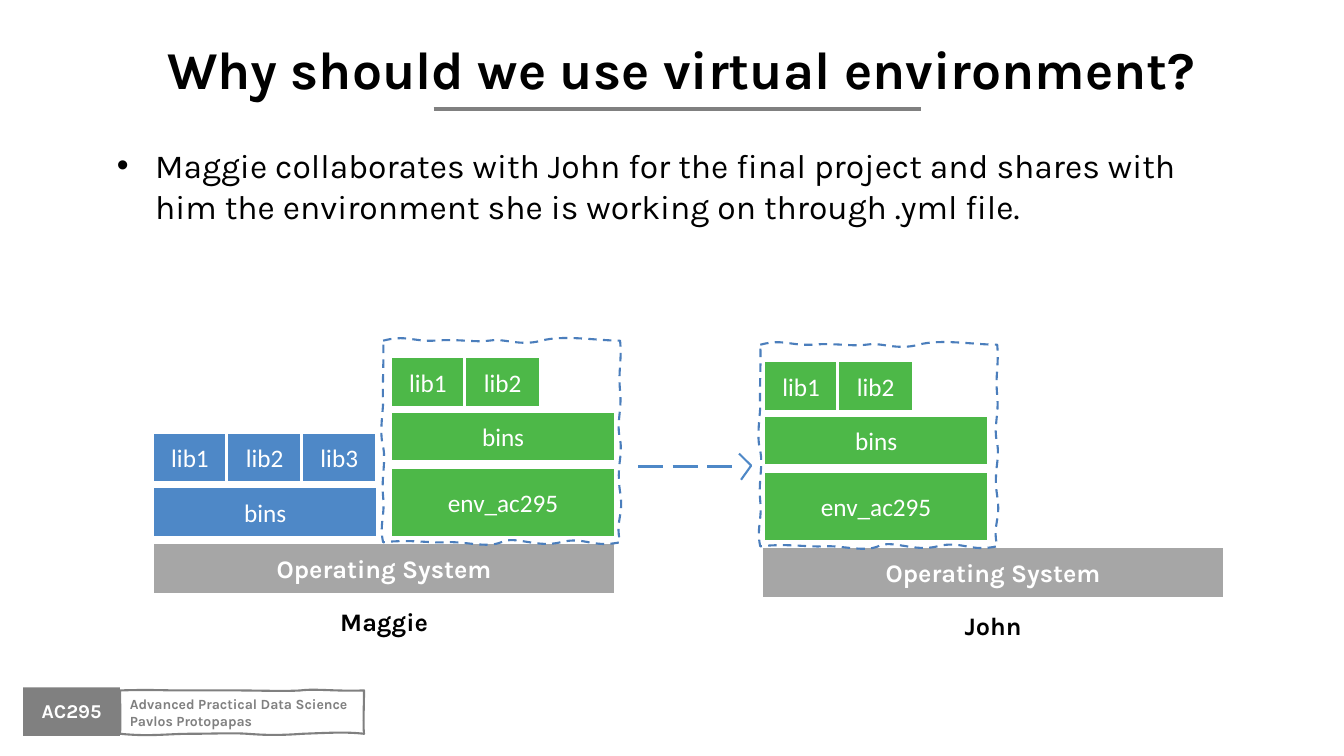
from lxml import etree
from pptx import Presentation
from pptx import util as u
from pptx.dml.color import RGBColor
from pptx.enum import dml, shapes, text
from pptx.oxml.ns import qn

COLORS = {
    "black": "000000", "white": "FFFFFF", "gray": "808080", "system": "A6A6A6",
    "base": "4E88C7", "env": "4DB848", "frame": "4B7EBC",
}
LIB_PITCH = 0.74

# Hand-drawn outlines: cubic curves that start at the top left, relative to it.
ENV_OUTLINE = [
    (0.23, -0.06, 0.29, 0.01, 0.51, 0), (0.74, -0.02, 0.91, 0.02, 1.05, 0),
    (1.19, -0.03, 1.35, 0.06, 1.57, 0), (1.79, -0.06, 2.12, 0, 2.35, 0),
    (2.37, 0.2, 2.33, 0.29, 2.35, 0.5), (2.37, 0.71, 2.31, 0.8, 2.35, 0.98),
    (2.38, 1.15, 2.31, 1.24, 2.35, 1.5), (2.39, 1.75, 2.3, 1.77, 2.35, 2),
    (2.07, 2.06, 2, 1.94, 1.76, 2), (1.52, 2.06, 1.31, 1.93, 1.17, 2),
    (1.03, 2.06, 0.81, 1.99, 0.63, 2), (0.46, 2.01, 0.28, 1.97, 0, 2),
    (-0.04, 1.82, 0.02, 1.75, 0, 1.55), (-0.02, 1.36, 0.03, 1.2, 0, 1.05),
    (-0.04, 0.91, 0, 0.71, 0, 0.6), (-0.01, 0.48, 0.01, 0.16, 0, 0),
]
COURSE_OUTLINE = [
    (0.28, -0.01, 0.46, 0, 0.58, 0), (0.7, 0, 1.02, 0, 1.18, 0),
    (1.35, 0, 1.64, 0.01, 1.79, 0), (1.94, -0.02, 2.12, 0.01, 2.42, 0),
    (2.42, 0.16, 2.41, 0.34, 2.42, 0.43),
    (2.24, 0.41, 2.09, 0.42, 1.81, 0.43), (1.54, 0.45, 1.4, 0.44, 1.26, 0.43),
    (1.11, 0.42, 0.92, 0.43, 0.7, 0.43), (0.47, 0.43, 0.3, 0.46, 0, 0.43),
    (0.01, 0.32, 0, 0.12, 0, 0),
]


def rgb(name):
    """Return the named colour."""
    return RGBColor.from_string(COLORS[name])


def write(sp, lines, size, color, font="Karla", bold=False,
          align=text.PP_ALIGN.CENTER, anchor=text.MSO_ANCHOR.MIDDLE):
    """Put lines of equally formatted text in a shape."""
    tf = sp.text_frame
    tf.word_wrap = True
    tf.vertical_anchor = anchor
    tf.text = lines
    for p in tf.paragraphs:
        p.alignment = align
        for r in p.runs:
            r.font.size = u.Pt(size)
            r.font.name = font
            r.font.bold = bold
            r.font.color.rgb = rgb(color)
    return tf


def add_label(s, box, words, size, color="black", **style):
    """Add a text box."""
    sp = s.shapes.add_textbox(*map(u.Inches, box))
    return write(sp, words, size, color, **style)


def add_block(s, box, fill, words="", line="white", **style):
    """Add a filled rectangle with a centred caption."""
    sp = s.shapes.add_shape(shapes.MSO_SHAPE.RECTANGLE, *map(u.Inches, box))
    sp.shadow.inherit = False
    sp.fill.solid()
    sp.fill.fore_color.rgb = rgb(fill)
    if line:
        sp.line.color.rgb = rgb(line)
        sp.line.width = u.Pt(2.25)
    else:
        sp.line.fill.background()
    if words:
        write(sp, words, 18, "white", **style)


def add_line(s, x1, x2, y, color, width, dash=None):
    """Add a horizontal line."""
    cx = s.shapes.add_connector(shapes.MSO_CONNECTOR.STRAIGHT,
                                *map(u.Inches, (x1, y, x2, y)))
    cx.line.color.rgb = rgb(color)
    cx.line.width = u.Pt(width)
    cx.line.dash_style = dash
    etree.SubElement(cx._element.spPr, qn("a:effectLst"))


def add_outline(s, points, color, width, dash=None, close=True):
    """Add an unfilled freeform through the points."""
    start, *rest = [tuple(map(u.Inches, point)) for point in points]
    fb = s.shapes.build_freeform(*start)
    fb.add_line_segments(rest, close=close)
    sp = fb.convert_to_shape()
    sp.shadow.inherit = False
    sp.fill.background()
    sp.line.color.rgb = rgb(color)
    sp.line.width = u.Pt(width)
    sp.line.dash_style = dash
    return sp


def add_sketch(s, curves, left, top, color, dash=None):
    """Add a closed hand-drawn outline, bending each side into its curve."""
    ends = [(left, top)] + [(left + c[4], top + c[5]) for c in curves]
    sp = add_outline(s, ends, color, 1.5, dash)
    for side, curve in zip(list(sp._element.iter(qn("a:lnTo"))), curves):
        side.tag = qn("a:cubicBezTo")
        for i, (x, y) in enumerate((curve[:2], curve[2:4])):
            pt = etree.Element(qn("a:pt"), x=str(u.Inches(left + x) - sp.left),
                               y=str(u.Inches(top + y) - sp.top))
            side.insert(i, pt)
    return sp


def add_stack(s, left, bins_top, fill, libs):
    """Add a bins bar with a row of numbered libraries above it."""
    add_block(s, (left, bins_top, 2.24, 0.5), fill, "bins", font="Calibri")
    for i in range(libs):
        add_block(s, (left + i * LIB_PITCH, bins_top - 0.54, 0.75, 0.5),
                  fill, f"lib{i + 1}", font="Calibri")


def add_computer(s, owner, left, top, env_left, frame_left):
    """Add an operating system, its owner and the framed environment on it."""
    add_block(s, (left, top, 4.6, 0.52), "system", "Operating System", bold=True)
    add_label(s, (left, top + 0.74, 4.6, 0.09), owner, 18, bold=True)
    add_block(s, (env_left, top - 0.74, 2.24, 0.69), "env", "env_ac295", font="Calibri")
    add_stack(s, env_left, top - 1.3, "env", 2)
    add_sketch(s, ENV_OUTLINE, frame_left, top - 2, "frame", dml.MSO_LINE.DASH)


def add_footer(s):
    """Add the course code and course name."""
    add_block(s, (0.23, 6.82, 0.96, 0.48), "gray", line=None)
    tf = add_label(s, (0, 6.91, 1.42, 0.56), "AC295", 14, "white", bold=True,
                   anchor=text.MSO_ANCHOR.TOP)
    tf.paragraphs[0].line_spacing = 0.9
    sp = add_sketch(s, COURSE_OUTLINE, 1.19, 6.85, "gray")
    write(sp, "Advanced Practical Data Science\nPavlos Protopapas", 10, "gray",
          bold=True, align=text.PP_ALIGN.LEFT, anchor=text.MSO_ANCHOR.TOP)


def add_bullet(s):
    """Add the bulleted statement."""
    tf = add_label(s, (1.06, 1.39, 11.19, 0.91),
                   "Maggie collaborates with John for the final project and shares with "
                   "him the environment she is working on through .yml file.",
                   24, align=text.PP_ALIGN.LEFT, anchor=text.MSO_ANCHOR.TOP)
    pPr = tf.paragraphs[0]._p.get_or_add_pPr()
    pPr.set("marL", str(u.Inches(0.38)))
    pPr.set("indent", str(-u.Inches(0.38)))
    etree.SubElement(pPr, qn("a:buFont"), typeface="Arial")
    etree.SubElement(pPr, qn("a:buChar"), char="\u2022")


def main():
    """Build the slide."""
    prs = Presentation()
    prs.slide_width, prs.slide_height = u.Inches(13.33), u.Inches(7.5)
    s = prs.slides.add_slide(prs.slide_layouts[6])

    add_line(s, 4.3, 9.13, 1.08, "gray", 3)
    add_footer(s)
    tf = add_label(s, (1.27, 0.32, 10.98, 0.71),
                   "Why should we use virtual environment?", 38, bold=True)
    tf.paragraphs[0].space_before = u.Pt(9)
    add_bullet(s)

    add_stack(s, 1.51, 4.83, "base", 3)
    add_computer(s, "Maggie", 1.51, 5.38, 3.87, 3.8)
    add_computer(s, "John", 7.55, 5.42, 7.57, 7.54)

    add_line(s, 6.33, 7.33, 4.63, "base", 2.25, dml.MSO_LINE.LONG_DASH)
    add_outline(s, [(7.33, 4.5), (7.45, 4.62), (7.35, 4.76)], "base", 1.5, close=False)
    prs.save("out.pptx")


if __name__ == "__main__":
    main()
